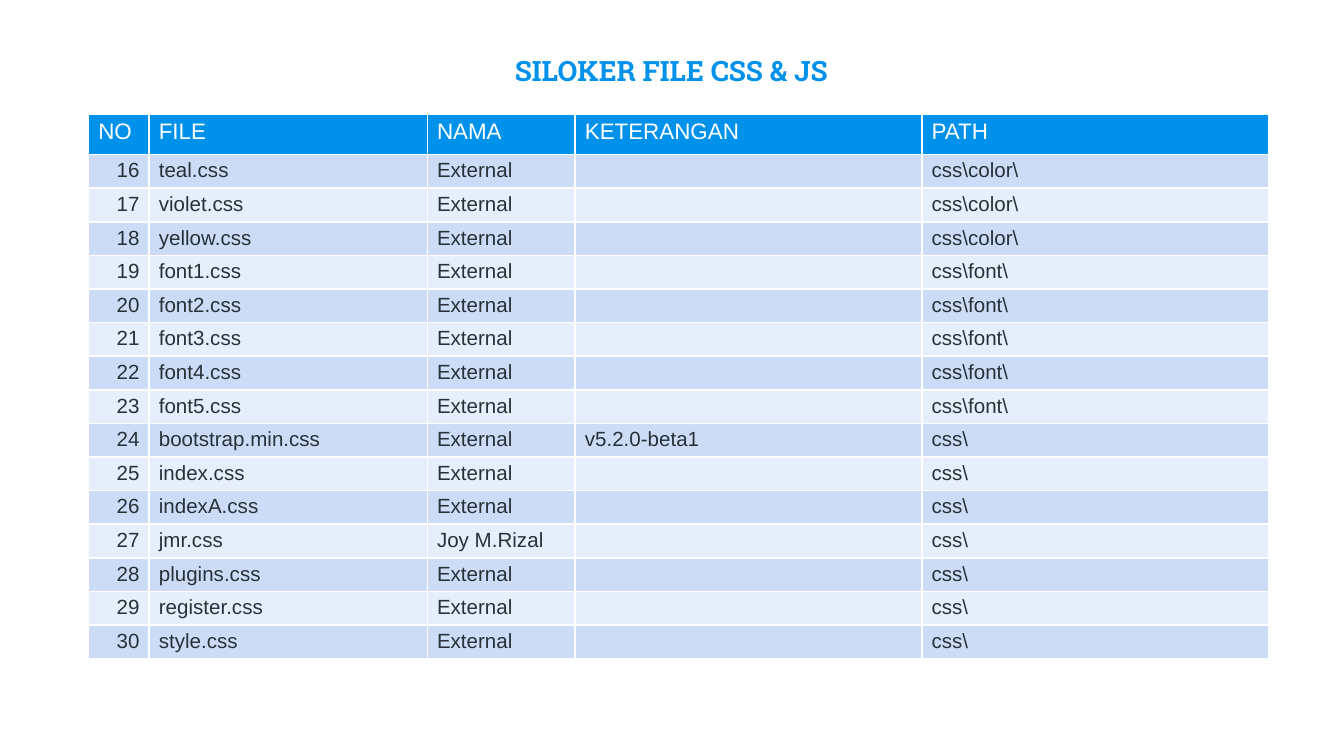
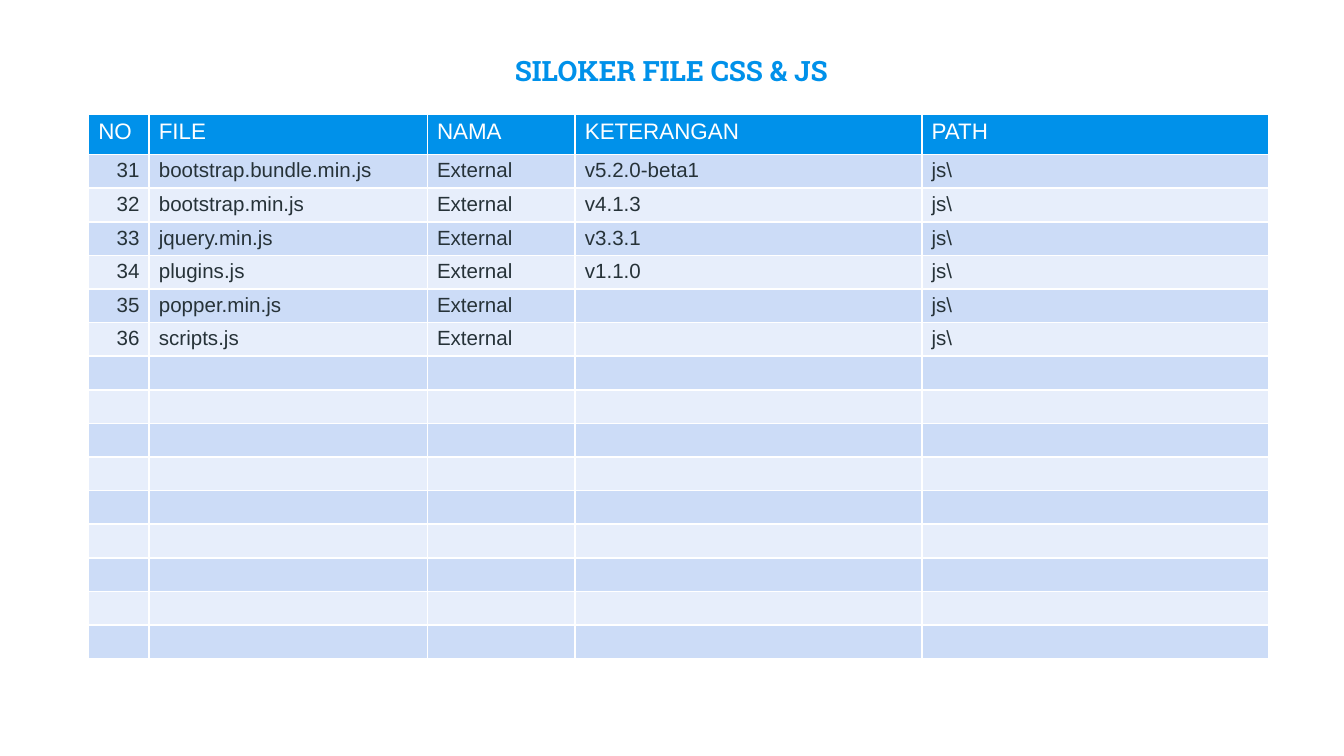
"""Build two slides that list the CSS and JS files of the Siloker site."""
import lxml.etree
import pptx
import pptx.dml.color
import pptx.enum.text
import pptx.oxml.ns
import pptx.util

Inches = pptx.util.Inches
Pt = pptx.util.Pt
RGBColor = pptx.dml.color.RGBColor
Align = pptx.enum.text.PP_ALIGN
qn = pptx.oxml.ns.qn

TITLE = "SILOKER FILE CSS & JS"
HEADINGS = ("NO", "FILE", "NAMA", "KETERANGAN", "PATH")
PAGES = [
    (16, [
        ("teal.css", "External", "", "css\\color\\"),
        ("violet.css", "External", "", "css\\color\\"),
        ("yellow.css", "External", "", "css\\color\\"),
        ("font1.css", "External", "", "css\\font\\"),
        ("font2.css", "External", "", "css\\font\\"),
        ("font3.css", "External", "", "css\\font\\"),
        ("font4.css", "External", "", "css\\font\\"),
        ("font5.css", "External", "", "css\\font\\"),
        ("bootstrap.min.css", "External", "v5.2.0-beta1", "css\\"),
        ("index.css", "External", "", "css\\"),
        ("indexA.css", "External", "", "css\\"),
        ("jmr.css", "Joy M.Rizal", "", "css\\"),
        ("plugins.css", "External", "", "css\\"),
        ("register.css", "External", "", "css\\"),
        ("style.css", "External", "", "css\\"),
    ]),
    (31, [
        ("bootstrap.bundle.min.js", "External", "v5.2.0-beta1", "js\\"),
        ("bootstrap.min.js", "External", "v4.1.3", "js\\"),
        ("jquery.min.js", "External", "v3.3.1", "js\\"),
        ("plugins.js", "External", "v1.1.0", "js\\"),
        ("popper.min.js", "External", "", "js\\"),
        ("scripts.js", "External", "", "js\\"),
    ]),
]

BLUE = RGBColor(0x00, 0x91, 0xEA)
INK = RGBColor(0x26, 0x32, 0x38)
WHITE = RGBColor(0xFF, 0xFF, 0xFF)
BANDS = (RGBColor(0xCC, 0xDC, 0xF7), RGBColor(0xE7, 0xEE, 0xFB))
TABLE_FONT, TITLE_FONT = "Arial", "Roboto Slab"

WIDTH = 10
HEIGHT = WIDTH * 9 / 16
TABLE_LEFT, TABLE_TOP = 0.66, 0.85
COLUMNS = (0.45, 2.07, 1.1, 2.58, 2.58)
HEADER_HEIGHT, ROW_HEIGHT, BODY_ROWS = 0.3, 0.25, 15
TITLE_BOX = (1.82, 0.32, 6.35, 0.4)


def add_text(para, text, font, size, color, bold=False):
    span = para.add_run()
    span.text = text
    span.font.name = font
    span.font.size = Pt(size)
    span.font.bold = bold
    span.font.color.rgb = color


def size_empty(para, size):
    ending = lxml.etree.SubElement(para._p, qn("a:endParaRPr"), sz=str(size * 100))
    lxml.etree.SubElement(ending, qn("a:latin"), typeface=TABLE_FONT)


def add_borders(cell):
    properties = cell._tc.get_or_add_tcPr()
    for side in "LRTB":
        line = lxml.etree.SubElement(properties, qn("a:ln" + side), w=str(Pt(1)))
        fill = lxml.etree.SubElement(line, qn("a:solidFill"))
        lxml.etree.SubElement(fill, qn("a:srgbClr"), val=str(WHITE))


def fill_cell(cell, text, size, color, fill, align=Align.LEFT):
    add_borders(cell)
    cell.fill.solid()
    cell.fill.fore_color.rgb = fill
    cell.margin_left = cell.margin_right = Pt(5.2)
    cell.margin_top, cell.margin_bottom = Pt(2.6), Pt(1.6)
    para = cell.text_frame.paragraphs[0]
    para.alignment = align
    if text:
        add_text(para, text, TABLE_FONT, size, color)
    else:
        size_empty(para, size)


def add_title(page):
    box = page.shapes.add_textbox(*map(Inches, TITLE_BOX))
    frame = box.text_frame
    frame.word_wrap = True
    frame.vertical_anchor = pptx.enum.text.MSO_ANCHOR.BOTTOM
    frame.margin_left = frame.margin_right = Inches(0.07)
    frame.margin_top = frame.margin_bottom = Inches(0.07)
    para = frame.paragraphs[0]
    para.alignment = Align.CENTER
    add_text(para, TITLE, TITLE_FONT, 15, BLUE, bold=True)


def add_file_table(page, first_number, files):
    heights = [HEADER_HEIGHT] + [ROW_HEIGHT] * BODY_ROWS
    area = (TABLE_LEFT, TABLE_TOP, sum(COLUMNS), sum(heights))
    table = page.shapes.add_table(len(heights), len(COLUMNS), *map(Inches, area)).table
    table.first_row = table.horz_banding = False
    for column, width in zip(table.columns, COLUMNS):
        column.width = Inches(width)
    for row, height in zip(table.rows, heights):
        row.height = Inches(height)

    for cell, heading in zip(table.rows[0].cells, HEADINGS):
        fill_cell(cell, heading, 12, WHITE, BLUE)
    numbered = [(str(number), *file) for number, file in enumerate(files, first_number)]
    blanks = [("",) * len(COLUMNS)] * (BODY_ROWS - len(files))
    for index, values in enumerate(numbered + blanks):
        for column, text in enumerate(values):
            align = Align.LEFT if column else Align.RIGHT
            fill_cell(table.cell(index + 1, column), text, 11, INK, BANDS[index % 2], align)


def main():
    deck = pptx.Presentation()
    deck.slide_width, deck.slide_height = Inches(WIDTH), Inches(HEIGHT)
    for first_number, files in PAGES:
        page = deck.slides.add_slide(deck.slide_layouts[6])
        add_file_table(page, first_number, files)
        add_title(page)
    deck.save("out.pptx")


if __name__ == "__main__":
    main()
